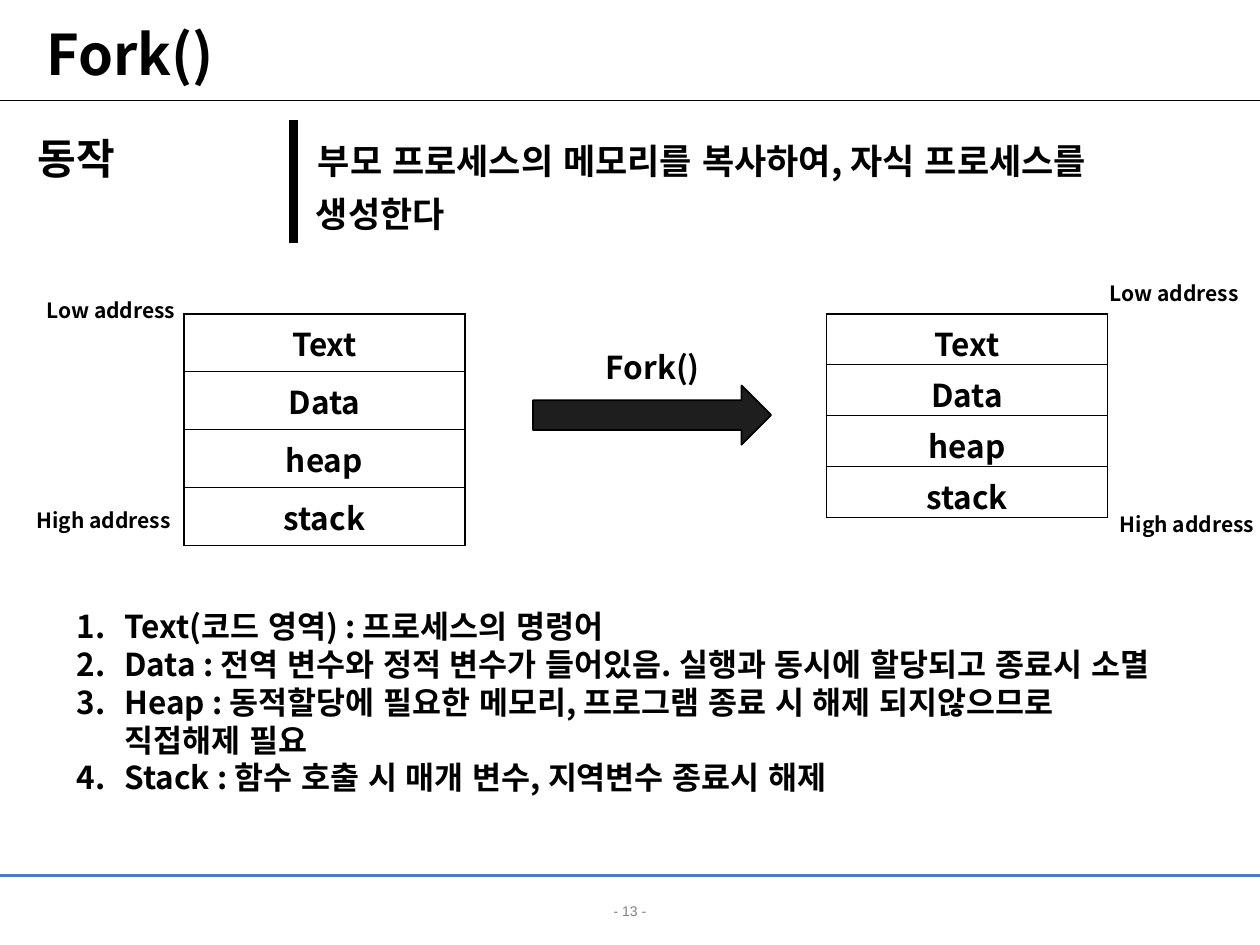
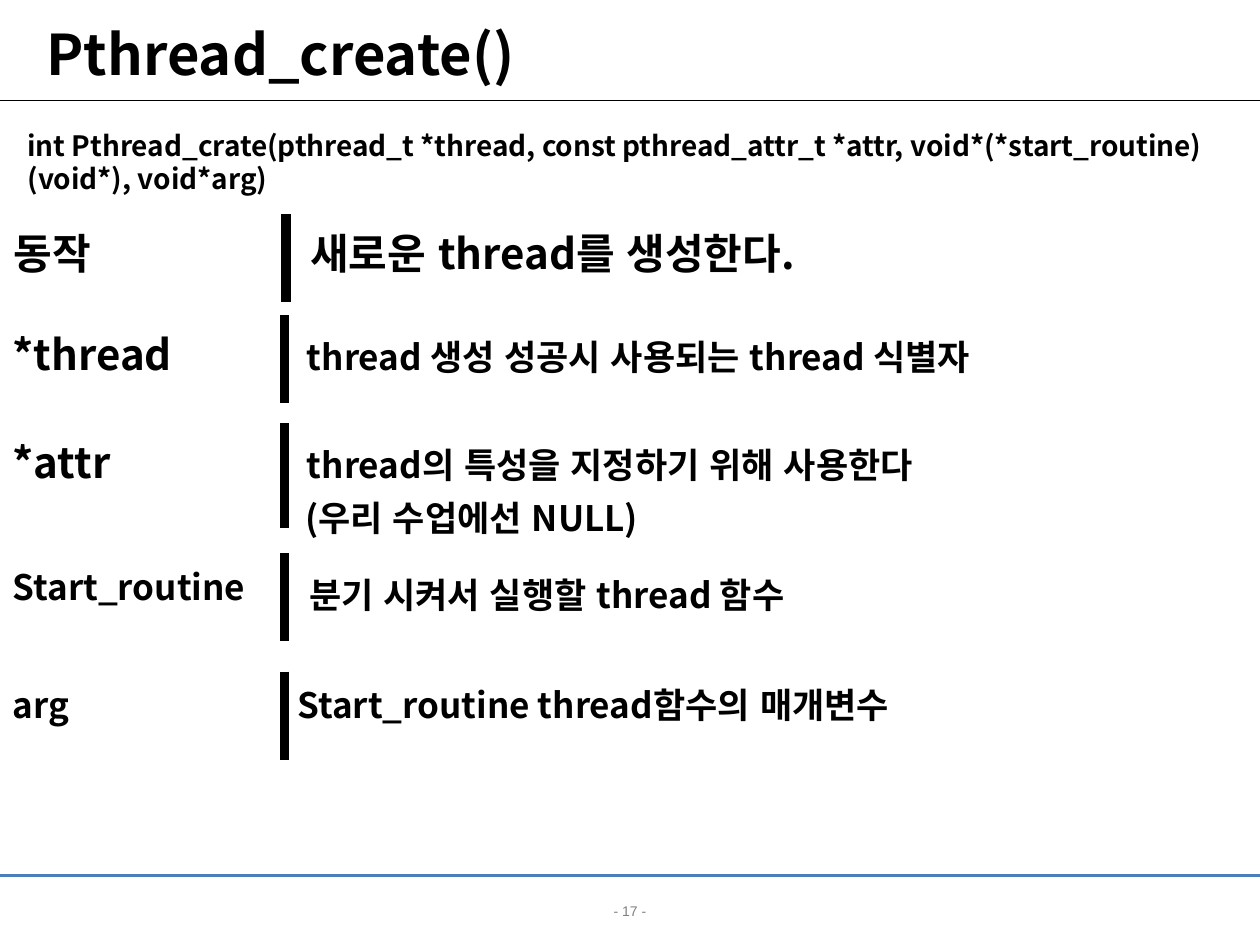
from lxml import etree
from pptx import Presentation
from pptx.dml.color import RGBColor
from pptx.enum.lang import MSO_LANGUAGE_ID
from pptx.enum.shapes import MSO_CONNECTOR, MSO_SHAPE
from pptx.enum.text import MSO_ANCHOR, MSO_AUTO_SIZE, PP_ALIGN
from pptx.oxml.ns import qn
from pptx.util import Inches, Pt

KOREAN = MSO_LANGUAGE_ID.KOREAN
LINE = MSO_CONNECTOR.STRAIGHT
ARROW = MSO_SHAPE.RIGHT_ARROW
MIDDLE = MSO_ANCHOR.MIDDLE
FIXED = MSO_AUTO_SIZE.NONE
LEFT, CENTER = PP_ALIGN.LEFT, PP_ALIGN.CENTER
FONT = "Noto Sans CJK KR"
COLORS = {"ink": "000000", "paper": "FFFFFF", "rule": "4B7EBC",
          "page": "808080", "arrow": "1E1E1E"}
PARTS = ["Text", "Data", "heap", "stack"]
NOTES = [
    "Text(코드 영역) : 프로세스의 명령어",
    "Data : 전역 변수와 정적 변수가 들어있음. 실행과 동시에 할당되고 종료시 소멸",
    "Heap : 동적할당에 필요한 메모리, 프로그램 종료 시 해제 되지않으므로\v직접해제 필요",
    "Stack : 함수 호출 시 매개 변수, 지역변수 종료시 해제",
]


def color(name):
    return RGBColor.from_string(COLORS[name])


def style(run, size, ink="ink", face=FONT, bold=True):
    font = run.font
    font.size, font.bold, font.name = Pt(size), bold, face
    font.language_id = KOREAN
    font.color.rgb = color(ink)
    props = run._r.get_or_add_rPr()
    east = props.find(qn("a:ea"))
    if east is None:
        east = etree.SubElement(props, qn("a:ea"))
    east.set("typeface", face)


def format_text(frame, size, align=LEFT, **look):
    for para in frame.paragraphs:
        para.alignment = align
        for run in para.runs:
            style(run, size, **look)


def add_rule(slide, y, ink, width):
    rule = slide.shapes.add_connector(LINE, 0, Inches(y), Inches(10), Inches(y))
    rule.line.color.rgb = color(ink)
    rule.line.width = Pt(width)
    etree.SubElement(rule._element.spPr, qn("a:effectLst"))


def add_text(slide, text, x, y, w, h, size):
    box = slide.shapes.add_textbox(Inches(x), Inches(y), Inches(w), Inches(h))
    frame = box.text_frame
    frame.word_wrap = True
    frame.margin_right = 0
    frame.text = text
    format_text(frame, size)
    return frame


def add_page(deck, title, page):
    slide = deck.slides.add_slide(deck.slide_layouts[5])
    add_rule(slide, 0.8, "ink", 0.75)
    add_rule(slide, 6.95, "rule", 1.5)
    foot = add_text(slide, f"- {page} -", 0, 7.11, 10, 0.24, 8)
    foot.margin_left = foot.margin_top = foot.margin_bottom = 0
    foot.vertical_anchor = MIDDLE
    format_text(foot, 8, CENTER, ink="page", face="Arial", bold=False)
    head = slide.shapes.title
    head.left, head.top = Inches(0.27), Inches(0.21)
    head.width, head.height = Inches(9.39), Inches(0.42)
    frame = head.text_frame
    frame.text = title
    frame.auto_size = FIXED
    frame.vertical_anchor = MIDDLE
    format_text(frame, 32)
    return slide


def paint_cell(cell, **edges):
    props = cell._tc.get_or_add_tcPr()
    for side in "LRTB":
        width = edges.get(side, 0)
        line = etree.SubElement(props, qn(f"a:ln{side}"), w=str(int(Pt(width))))
        if width:
            fill = etree.SubElement(line, qn("a:solidFill"))
            etree.SubElement(fill, qn("a:srgbClr"), val=COLORS["ink"])
        else:
            etree.SubElement(line, qn("a:noFill"))
    cell.fill.solid()
    cell.fill.fore_color.rgb = color("paper")


def add_grid(slide, x, y, widths, heights):
    grid = slide.shapes.add_table(
        len(heights), len(widths), Inches(x), Inches(y),
        Inches(sum(widths)), Inches(sum(heights))).table
    grid.first_row = grid.horz_banding = False
    for column, width in zip(grid.columns, widths):
        column.width = Inches(width)
    for row, height in zip(grid.rows, heights):
        row.height = Inches(height)
    return grid


def add_entry(slide, x, y, widths, term, text,
              size=24, lead=24, body=20, height=0.7):
    grid = add_grid(slide, x, y, widths, [height])
    name, note = grid.cell(0, 0), grid.cell(0, 1)
    paint_cell(name, R=6)
    paint_cell(note, L=6)
    name.text_frame.text = term
    format_text(name.text_frame, size)
    note.text_frame.text = text
    format_text(note.text_frame, body)
    if lead:
        first = note.text_frame.paragraphs[0]
        words = first.runs[0].text
        first.text = " "
        first.add_run().text = words
        for run, points in zip(first.runs, (lead, body)):
            style(run, points)
        for para in note.text_frame.paragraphs[1:]:
            para.runs[0].text = " " + para.runs[0].text


def add_memory(slide, x, height):
    grid = add_grid(slide, x, 2.49, [2.23], [height] * len(PARTS))
    for row, part in enumerate(PARTS):
        cell = grid.cell(row, 0)
        paint_cell(cell, L=1, R=1, T=1, B=1)
        cell.text_frame.text = part
        format_text(cell.text_frame, 18, CENTER)


def add_arrow(slide):
    arrow = slide.shapes.add_shape(
        ARROW, Inches(4.23), Inches(3.06), Inches(1.89), Inches(0.47))
    arrow.shadow.inherit = False
    arrow.fill.solid()
    arrow.fill.fore_color.rgb = color("arrow")
    arrow.line.color.rgb = color("ink")
    arrow.line.width = Pt(1)


def add_list(slide):
    frame = add_text(slide, "\n".join(NOTES), 0.51, 4.77, 9.21, 1.92, 18)
    for para, note in zip(frame.paragraphs, NOTES):
        para.text = note
        props = para._p.get_or_add_pPr()
        props.set("marL", str(Inches(0.38)))
        props.set("indent", str(-Inches(0.38)))
        etree.SubElement(props, qn("a:buFont"), typeface="+mj-lt")
        etree.SubElement(props, qn("a:buAutoNum"), type="arabicPeriod")
    format_text(frame, 18)


def build_fork(deck):
    slide = add_page(deck, "Fork()", 13)
    add_entry(slide, 0.2, 0.95, [2.13, 7.28], "동작",
              "부모 프로세스의 메모리를 복사하여, 자식 프로세스를\n생성한다",
              height=0.98)
    add_memory(slide, 1.46, 0.46)
    add_memory(slide, 6.56, 0.405)
    for text, x, y in [("Low address", 0.27, 2.31), ("High address", 0.19, 3.98),
                       ("Low address", 8.71, 2.18), ("High address", 8.79, 4.01)]:
        add_text(slide, text, x, y, 1.21, 0.3, 12)
    add_arrow(slide)
    add_text(slide, "Fork()", 4.71, 2.71, 0.94, 0.4, 18)
    add_list(slide)


def build_thread(deck):
    slide = add_page(deck, "Pthread_create()", 17)
    add_text(slide, "int Pthread_crate(pthread_t *thread, const pthread_attr_t *attr, "
             "void*(*start_routine)(void*), void*arg)", 0.12, 0.97, 9.76, 0.64, 16)
    widths = [2.26, 7.73]
    add_entry(slide, 0.01, 1.7, widths, "동작", "새로운 thread를 생성한다.", body=24)
    add_entry(slide, 0, 2.5, widths, "*thread",
              "thread 생성 성공시 사용되는 thread 식별자")
    add_entry(slide, 0, 3.36, widths, "*attr",
              "thread의 특성을 지정하기 위해 사용한다\n(우리 수업에선 NULL)")
    add_entry(slide, 0, 4.39, widths, "Start_routine",
              "분기 시켜서 실행할 thread 함수", size=20)
    add_entry(slide, 0, 5.33, widths, "arg",
              "Start_routine thread함수의 매개변수", size=20, lead=0)


def main():
    deck = Presentation()
    deck.slide_width, deck.slide_height = Inches(10), Inches(7.5)
    build_fork(deck)
    build_thread(deck)
    deck.save("out.pptx")


if __name__ == "__main__":
    main()
